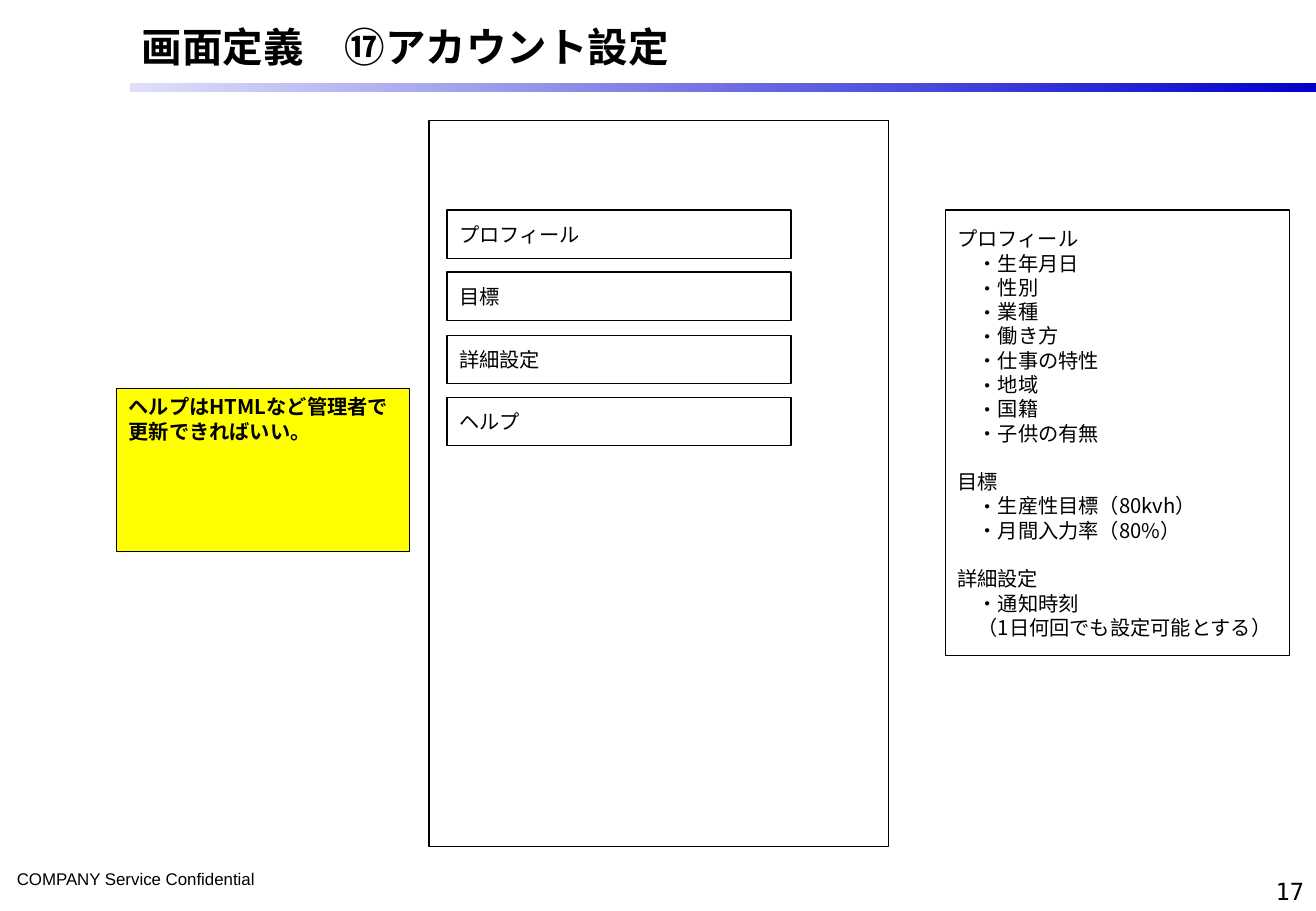
"""Build the account settings screen definition slide."""
from lxml.etree import SubElement
from pptx import Presentation
from pptx.dml.color import RGBColor
from pptx.enum.shapes import MSO_SHAPE
from pptx.enum.text import MSO_ANCHOR, PP_ALIGN
from pptx.oxml.ns import qn
from pptx.util import Pt

PX = 9144
THEME = {
    "ink": "000000", "paper": "FFFFFF", "note": "FFFF00",
    "fade": "DFDFF9", "deep": "0000CC",
    "sans": "Noto Sans CJK JP", "foot": "Arial", "mono": "DejaVu Sans Mono",
    "title": 24, "body": 12, "page": 14, "small": 10, "rule": 0.75,
}


def rect(area, fill=None):
    shape = deck.shapes.add_shape(MSO_SHAPE.RECTANGLE, *[n * PX for n in area])
    shape.shadow.inherit = False
    if fill:
        shape.fill.solid()
        shape.fill.fore_color.rgb = RGBColor.from_string(THEME[fill])
        shape.line.color.rgb = RGBColor.from_string(THEME["ink"])
        shape.line.width = Pt(THEME["rule"])
    else:
        shape.line.fill.background()
    return shape


def write(frame, words, size="body", face="sans", bold=False, align=PP_ALIGN.LEFT,
          anchor=MSO_ANCHOR.MIDDLE, bullet=False, first=0, gap=0):
    frame.word_wrap = True
    frame.vertical_anchor = anchor
    para = frame.paragraphs[0]
    if para.runs:
        para = frame.add_paragraph()
    para.alignment = align
    para.line_spacing = Pt(THEME[size] * 1.2)
    if gap:
        para.space_before = Pt(gap)
    props = para._p.get_or_add_pPr()
    if bullet:
        props.set("marL", str(Pt(2 * THEME[size])))
        props.set("indent", str(-Pt(THEME[size])))
        SubElement(props, qn("a:buFont")).set("typeface", THEME[face])
        SubElement(props, qn("a:buChar")).set("char", "・")
    elif first:
        props.set("marL", "0")
        props.set("indent", str(Pt(first)))
    run = para.add_run()
    run.text = words
    run.font.size = Pt(THEME[size])
    run.font.bold = bold
    run.font.color.rgb = RGBColor.from_string(THEME["ink"])
    run.font.name = THEME[face]
    SubElement(run._r.get_or_add_rPr(), qn("a:ea")).set("typeface", THEME[face])


show = Presentation()
show.slide_width, show.slide_height = 1083 * PX, 750 * PX
deck = show.slides.add_slide(show.slide_layouts[6])

band = rect((107, 68, 976, 8))
band.fill.gradient()
band.fill.gradient_angle = 0
for stop, tone, spot in zip(band.fill.gradient_stops, ("fade", "deep"), (0, 1)):
    stop.color.rgb = RGBColor.from_string(THEME[tone])
    stop.position = spot

for area, words, style in (
    ((107, 13, 938, 50), "画面定義　⑰アカウント設定", {"size": "title", "bold": True}),
    ((4, 710, 337, 27), "COMPANY Service Confidential", {"size": "small", "face": "foot"}),
    ((831, 698, 252, 52), "17", {"size": "page", "face": "mono",
                                 "align": PP_ALIGN.RIGHT, "anchor": MSO_ANCHOR.BOTTOM}),
):
    label = deck.shapes.add_textbox(*[n * PX for n in area])
    write(label.text_frame, words, **style)

rect((353, 99, 378, 598), "paper")
for row, words in enumerate(("プロフィール", "目標", "詳細設定", "ヘルプ")):
    item = rect((368, 173 + round(row * 154 / 3), 283, 40), "paper")
    write(item.text_frame, words)

detail = rect((778, 173, 283, 367), "paper").text_frame
groups = {
    "プロフィール": ("生年月日", "性別", "業種", "働き方", "仕事の特性",
               "地域", "国籍", "子供の有無"),
    "目標": ("生産性目標（80kvh）", "月間入力率（80%）"),
    "詳細設定": ("通知時刻",),
}
for order, (head, points) in enumerate(groups.items()):
    write(detail, head, gap=14.4 if order else 0)
    for point in points:
        write(detail, point, bullet=True)
write(detail, "（1日何回でも設定可能とする）", first=THEME["body"])

note = rect((96, 320, 241, 134), "note")
write(note.text_frame, "ヘルプはHTMLなど管理者で更新できればいい。",
      bold=True, anchor=MSO_ANCHOR.TOP)

show.save("out.pptx")
